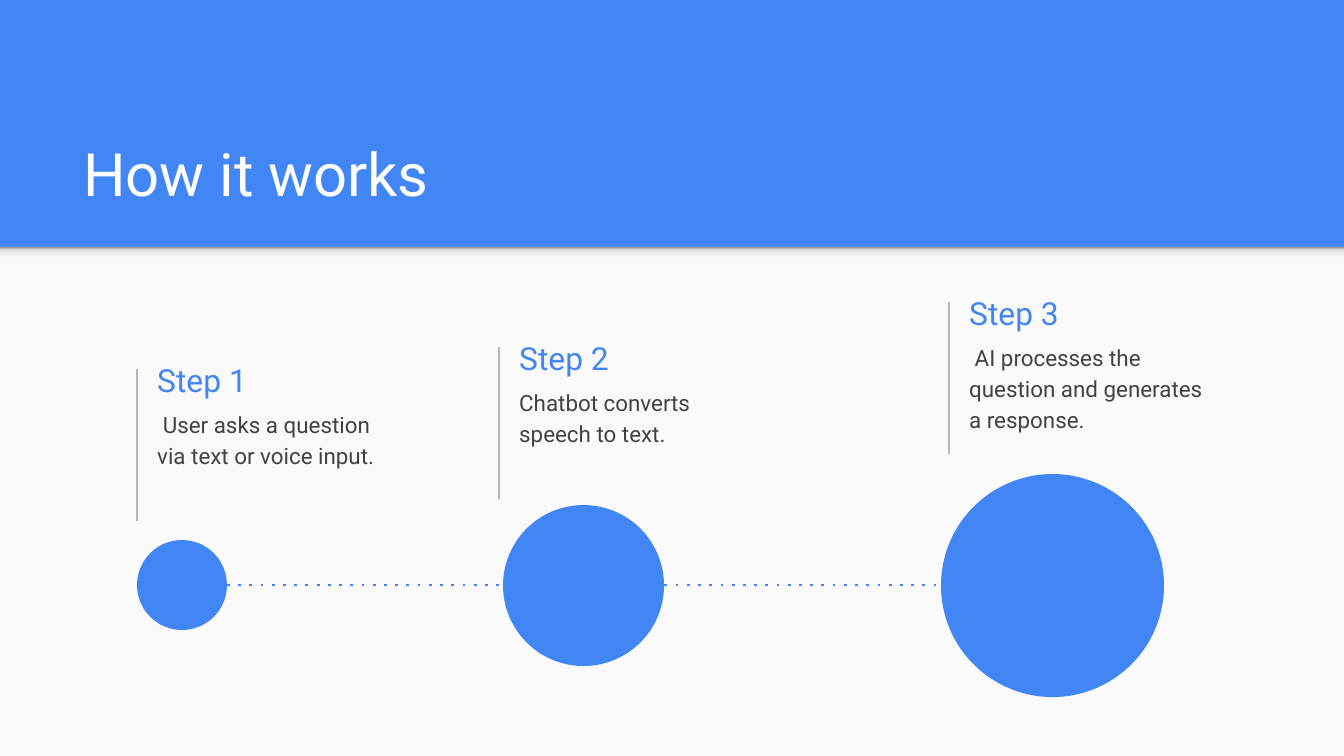
from lxml.etree import SubElement
from pptx import Presentation
from pptx.dml.color import RGBColor
from pptx.enum.shapes import MSO_CONNECTOR, MSO_SHAPE
from pptx.enum.text import MSO_ANCHOR
from pptx.oxml.ns import qn
from pptx.util import Pt

PX = 6804
WIDTH, HEIGHT = 1344, 756
BLUE, PAPER, WHITE, GREY, INK = "4285F4", "FAFAFA", "FFFFFF", "B7B7B7", "424242"
SHADOW_STOPS = [(0, "F9F9F9"), (36, "F9F9F9"), (80, "DEDEDE"), (100, "999999")]
STEPS = [
    (137, 369, 85, "Step 1", " User asks a question via text or voice input."),
    (499, 347, 85, "Step 2", "Chatbot converts speech to text."),
    (949, 302, 103, "Step 3", " AI processes the question and generates a response."),
]
CIRCLES = [(137, 90), (503, 161), (941, 223)]
TRACK_Y = 585


def emu(*lengths):
    return [length * PX for length in lengths]


def paint(fill, color):
    fill.solid()
    fill.fore_color.rgb = RGBColor.from_string(color)


def add_block(slide, kind, box, color):
    block = slide.shapes.add_shape(kind, *emu(*box))
    block.shadow.inherit = False
    block.line.fill.background()
    paint(block.fill, color)
    return block


def add_rule(slide, start, end, color, weight):
    rule = slide.shapes.add_connector(MSO_CONNECTOR.STRAIGHT, *emu(*start, *end))
    paint(rule.line.fill, color)
    rule.line.width = Pt(weight)
    SubElement(rule._element.spPr, qn("a:effectLst"))
    return rule


def add_words(slide, box, words, size, color, anchor, spacing=1.0):
    frame = slide.shapes.add_textbox(*emu(*box)).text_frame
    frame.word_wrap = True
    frame.vertical_anchor = anchor
    frame.margin_left = frame.margin_right = Pt(7.2)
    frame.margin_top = frame.margin_bottom = Pt(7.2)
    paragraph = frame.paragraphs[0]
    paragraph.line_spacing = spacing
    run = paragraph.add_run()
    run.text = words
    run.font.name = "Roboto"
    run.font.size = Pt(size)
    run.font.color.rgb = RGBColor.from_string(color)


def add_panel(slide, left, top, width, height):
    add_block(slide, MSO_SHAPE.RECTANGLE, (left, top, width, height), PAPER)
    shadow = add_block(slide, MSO_SHAPE.RECTANGLE, (left, top, width, 16), PAPER)
    shadow.fill.gradient()
    shadow.fill.gradient_angle = 90
    stops = shadow._element.spPr.find(f".//{qn('a:gsLst')}")
    for stop in list(stops):
        stops.remove(stop)
    for percent, color in SHADOW_STOPS:
        stop = SubElement(stops, qn("a:gs"), pos=str(percent * 1000))
        SubElement(stop, qn("a:srgbClr"), val=color)


def add_step(slide, left, top, body_height, heading, body):
    add_rule(slide, (left, top), (left, top + 152), GREY, 0.75)
    add_words(slide, (left + 7, top - 18, 266, 58), heading, 17, BLUE,
              MSO_ANCHOR.MIDDLE)
    add_words(slide, (left + 7, top + 25, 266, body_height), body, 12, INK,
              MSO_ANCHOR.TOP, 1.15)


def add_track(slide, center_y, circles):
    first_left, first_size = circles[0]
    last_left, _ = circles[-1]
    track = add_rule(slide, (first_left + first_size, center_y),
                     (last_left, center_y), BLUE, 1.5)
    SubElement(track.line._get_or_add_ln(), qn("a:prstDash"), val="dot")
    for left, size in circles:
        top = center_y - size // 2
        add_block(slide, MSO_SHAPE.OVAL, (left, top, size, size), BLUE)


def main():
    deck = Presentation()
    deck.slide_width, deck.slide_height = emu(WIDTH, HEIGHT)
    slide = deck.slides.add_slide(deck.slide_layouts[6])
    paint(slide.background.fill, BLUE)
    add_panel(slide, 0, 247, WIDTH, HEIGHT - 247)
    add_words(slide, (70, 109, 1208, 113), "How it works", 32, WHITE,
              MSO_ANCHOR.BOTTOM)
    for step in STEPS:
        add_step(slide, *step)
    add_track(slide, TRACK_Y, CIRCLES)
    deck.save("out.pptx")


if __name__ == "__main__":
    main()
